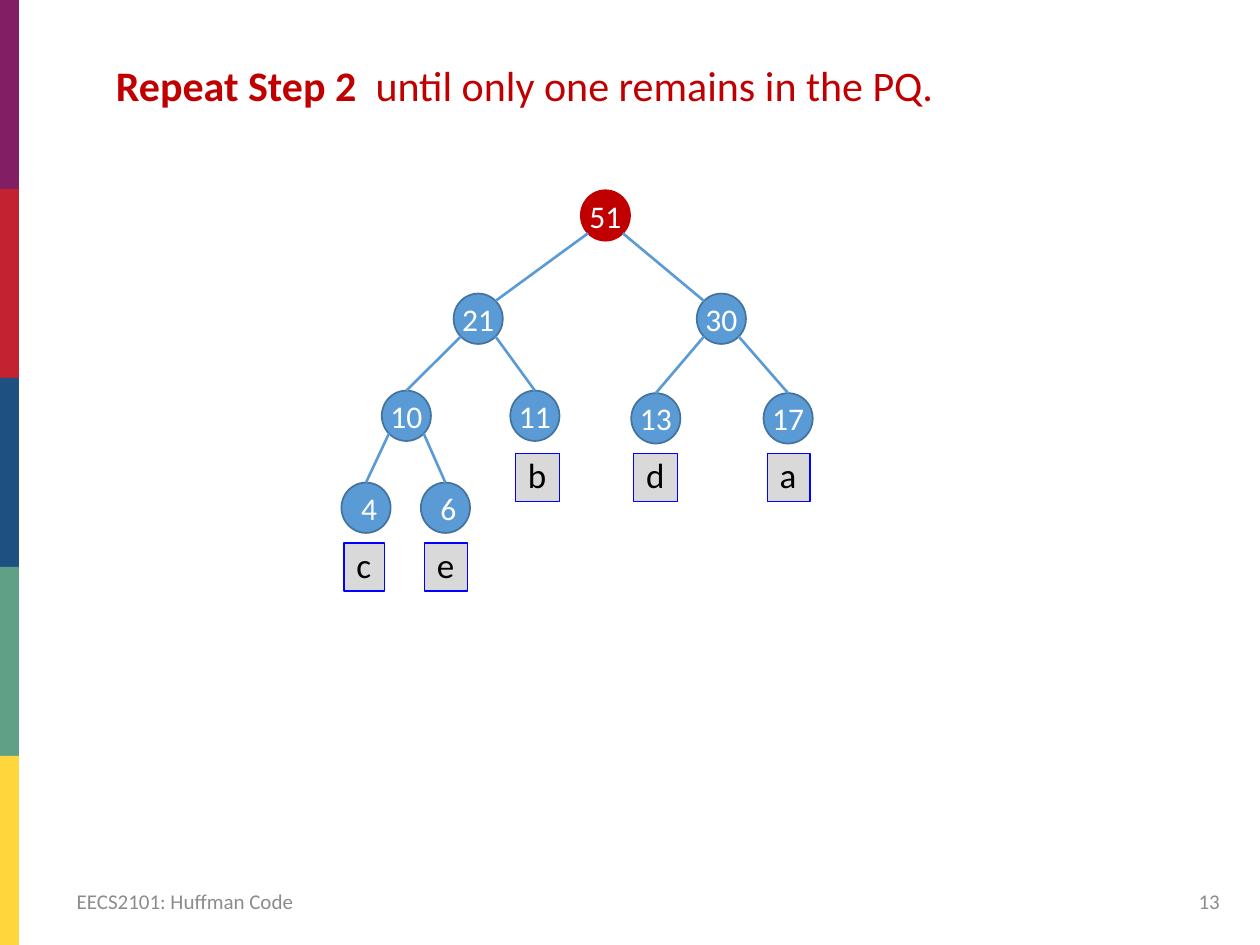
from math import sqrt

from lxml.etree import SubElement
from pptx import Presentation
from pptx.dml.color import RGBColor
from pptx.enum.shapes import MSO_CONNECTOR, MSO_SHAPE
from pptx.enum.text import MSO_ANCHOR, MSO_AUTO_SIZE, PP_ALIGN
from pptx.oxml.ns import qn
from pptx.util import Inches, Pt

RED = RGBColor(0xC0, 0x00, 0x00)
BLUE = RGBColor(0x5B, 0x9B, 0xD5)
DARK_BLUE = RGBColor(0x43, 0x73, 0x9E)
LABEL_BLUE = RGBColor(0x00, 0x00, 0xFF)
LIGHT_GREY = RGBColor(0xD9, 0xD9, 0xD9)
GREY = RGBColor(0x8C, 0x8C, 0x8C)
BLACK = RGBColor(0x00, 0x00, 0x00)
WHITE = RGBColor(0xFF, 0xFF, 0xFF)
STRIPES = [
    RGBColor(0x82, 0x1E, 0x64),
    RGBColor(0xC3, 0x23, 0x30),
    RGBColor(0x1E, 0x50, 0x82),
    RGBColor(0x5F, 0xA0, 0x87),
    RGBColor(0xFF, 0xD7, 0x3C),
]

deck = Presentation()
deck.slide_width, deck.slide_height = Inches(10), Inches(7.5)
COL, ROW = deck.slide_width / 100, deck.slide_height / 100  # one percent each way
slide = deck.slides.add_slide(deck.slide_layouts[5])


def write(shape, *runs, size, color, bold_first=False, align=PP_ALIGN.LEFT,
          anchor=MSO_ANCHOR.MIDDLE, wrap=True, grow=False, insets=(0.1, 0.05, 0.1, 0.05)):
    """Fill the shape with one paragraph; insets are left, top, right, bottom in inches."""
    frame = shape.text_frame
    frame.word_wrap = wrap
    frame.auto_size = MSO_AUTO_SIZE.SHAPE_TO_FIT_TEXT if grow else MSO_AUTO_SIZE.NONE
    frame.vertical_anchor = anchor
    frame.margin_left, frame.margin_top, frame.margin_right, frame.margin_bottom = map(Inches, insets)
    paragraph = frame.paragraphs[0]
    paragraph.alignment = align
    for position, text in enumerate(runs):
        run = paragraph.add_run()
        run.text = text
        run.font.name, run.font.size = "Calibri", Pt(size)
        run.font.bold = bold_first and position == 0
        run.font.color.rgb = color


def add_block(kind, left, top, width, height, fill, outline=None, weight=1):
    """Add a flat shape placed in percent of the slide."""
    block = slide.shapes.add_shape(
        kind, round(left * COL), round(top * ROW), round(width * COL), round(height * ROW))
    block.shadow.inherit = False
    block.fill.solid()
    block.fill.fore_color.rgb = fill
    if outline is None:
        block.line.fill.background()
    else:
        block.line.color.rgb = outline
        block.line.width = Pt(weight)
    return block


# Coloured stripes down the left edge
stripe_height = 100 / len(STRIPES)
for index, color in enumerate(STRIPES):
    add_block(MSO_SHAPE.RECTANGLE, 0, index * stripe_height, 1.5, stripe_height, color)

# Heading
heading = slide.shapes.title
heading.left, heading.top = round(8.2 * COL), round(5.6 * ROW)
heading.width, heading.height = round(67.5 * COL), round(6.7 * ROW)
write(heading, "Repeat Step 2  ", "until only one remains in the PQ.", size=24, color=RED,
      bold_first=True, anchor=MSO_ANCHOR.TOP, wrap=False, grow=True)

# Footer
for text, left, width, align in [
    ("EECS2101: Huffman Code", 5.1, 33.4, PP_ALIGN.LEFT),
    ("13", 75.3, 22.5, PP_ALIGN.RIGHT),
]:
    footer = slide.shapes.add_textbox(
        round(left * COL), round(92.67 * ROW), round(width * COL), round(5.33 * ROW))
    write(footer, text, size=12, color=GREY, align=align)

# Tree nodes: weight -> centre, in percent of the slide
NODE_WIDTH, NODE_HEIGHT = 3.9, 5.33
CENTRES = {
    51: (48.05, 22.8),
    21: (37.95, 33.73), 30: (57.25, 33.73),
    10: (32.25, 44), 11: (42.45, 44), 13: (52.05, 44.27), 17: (62.55, 44.27),
    4: (29.05, 53.73), 6: (35.35, 53.73),
}
nodes = {}
for weight, (x, y) in CENTRES.items():
    fill, outline = (RED, RED) if weight == 51 else (BLUE, DARK_BLUE)
    nodes[weight] = add_block(MSO_SHAPE.OVAL, x - NODE_WIDTH / 2, y - NODE_HEIGHT / 2,
                              NODE_WIDTH, NODE_HEIGHT, fill, outline)
    side = 0.1 if weight < 10 else 0
    write(nodes[weight], str(weight), size=18, color=WHITE, align=PP_ALIGN.CENTER,
          insets=(side, 0.05, side, 0.05))

# Leaf symbols below their nodes: left, top, width
for symbol, left, top, width in [
    ("c", 27.3, 57.47, 3.2), ("e", 33.7, 57.47, 3.4),
    ("b", 40.9, 48, 3.5), ("d", 50.3, 48, 3.5), ("a", 60.9, 48, 3.4),
]:
    label = add_block(MSO_SHAPE.RECTANGLE, left, top, width, 5.07, LIGHT_GREY, LABEL_BLUE, 0.75)
    write(label, symbol, size=20, color=BLACK, anchor=MSO_ANCHOR.TOP, wrap=False, grow=True,
          insets=(0.1, 0, 0.1, 0.04))

# Edges leave a parent at its lower diagonal points
DIAGONAL_X, DIAGONAL_Y = NODE_WIDTH / 2 / sqrt(2), NODE_HEIGHT / 2 / sqrt(2)
CHILDREN = {51: (21, 30), 21: (10, 11), 30: (13, 17), 10: (4, 6)}
for parent, pair in CHILDREN.items():
    for child, direction in zip(pair, (-1, 1)):
        (x1, y1), (x2, y2) = CENTRES[parent], CENTRES[child]
        edge = slide.shapes.add_connector(
            MSO_CONNECTOR.STRAIGHT,
            round((x1 + direction * DIAGONAL_X) * COL), round((y1 + DIAGONAL_Y) * ROW),
            round((x2 - direction * DIAGONAL_X) * COL), round((y2 - DIAGONAL_Y) * ROW))
        if parent != 51:
            edge.end_connect(nodes[child], 0)
        edge.line.color.rgb = BLUE
        edge.line.width = Pt(1.5)
        SubElement(edge._element.spPr, qn("a:effectLst"))

deck.save("out.pptx")
